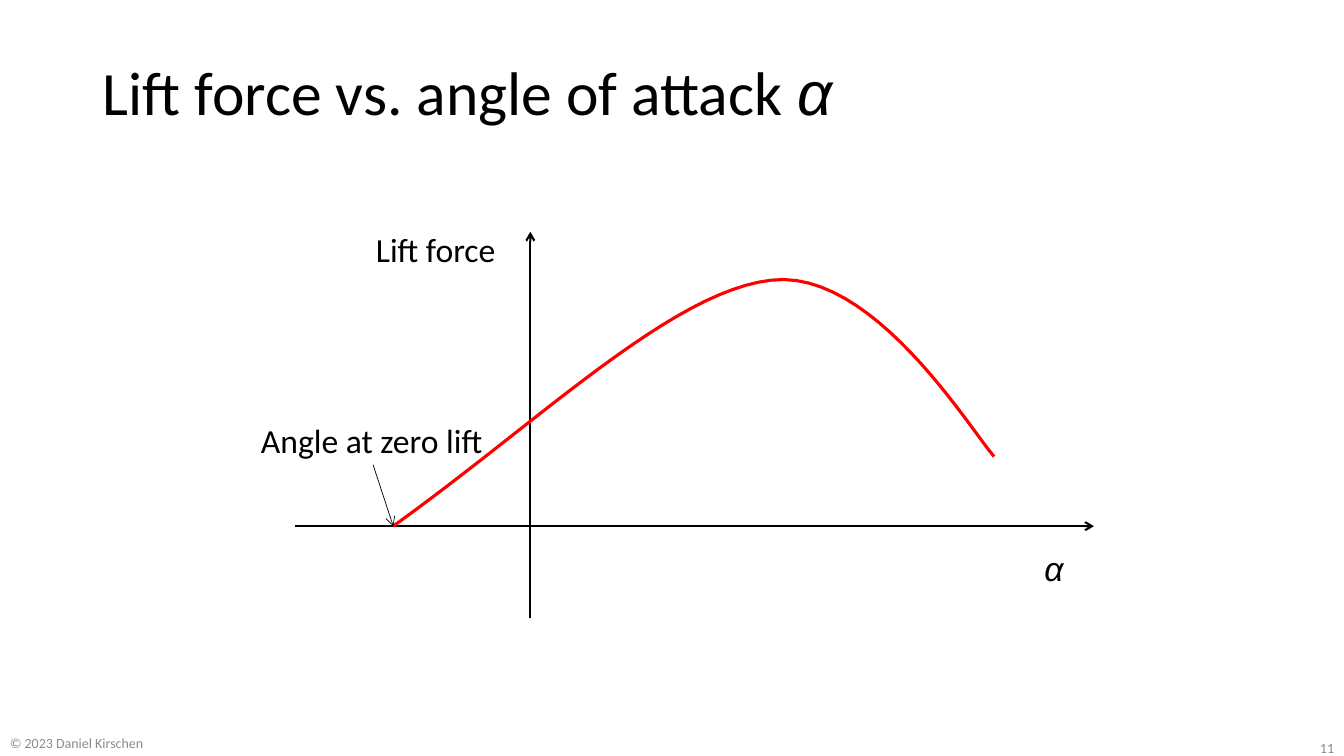
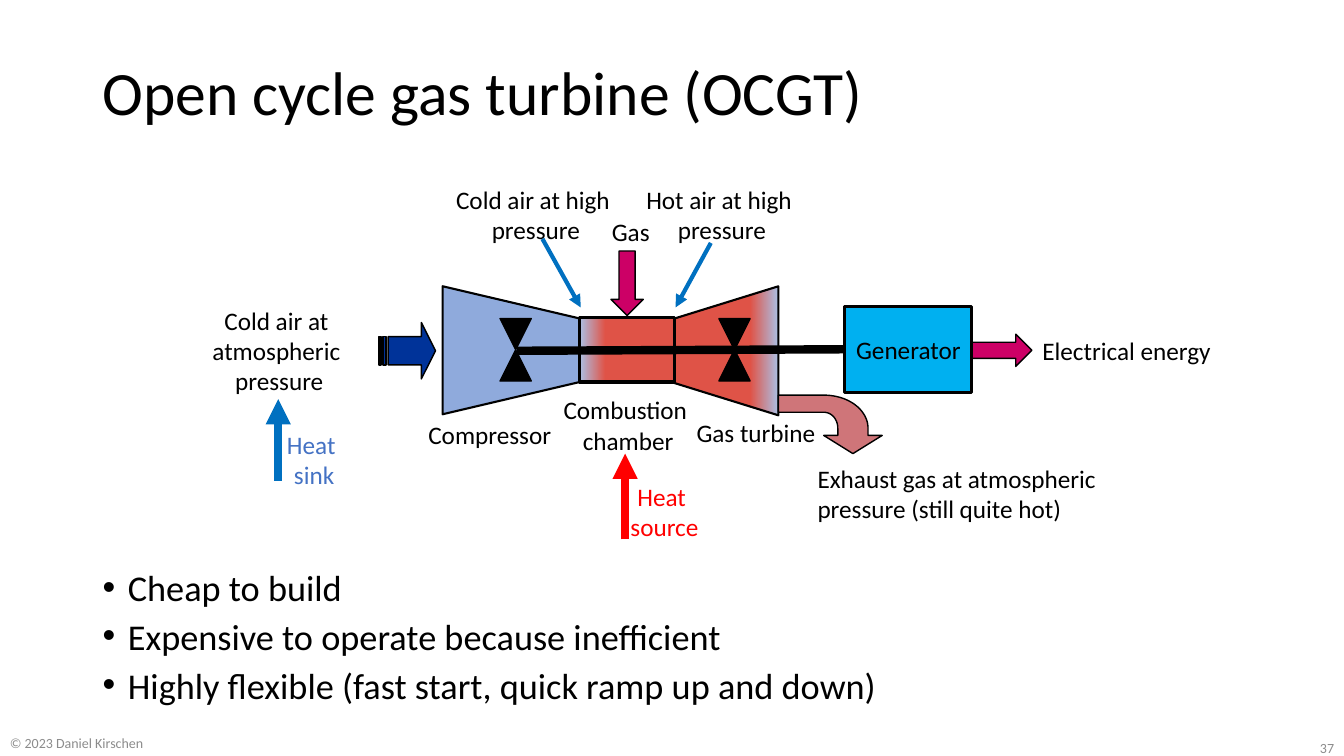
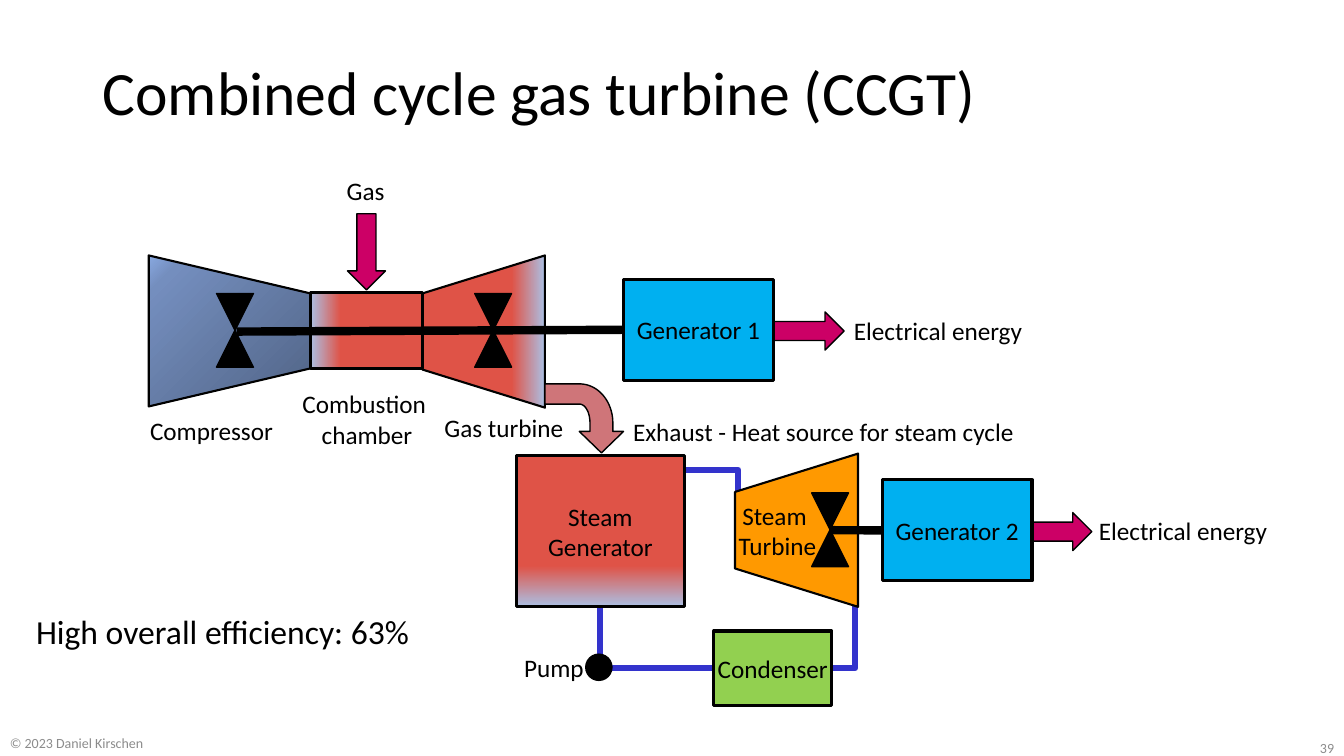
from lxml.etree import SubElement
from pptx import Presentation
from pptx.dml.color import RGBColor
from pptx.enum.shapes import MSO_CONNECTOR, MSO_SHAPE
from pptx.enum.text import MSO_ANCHOR, MSO_AUTO_SIZE, PP_ALIGN
from pptx.oxml.ns import qn
from pptx.util import Inches, Pt

COLORS = {
    "black": "000000", "grey": "8C8C8C", "red": "FF0000", "blue": "0070C0",
    "heat sink": "4472C4", "fuel": "CC0066", "cold air": "003399",
    "compressor": "8FAADC", "exhaust": "CF7579", "generator": "00B0F0",
    "pipe": "3333CC", "steam": "FF9900", "condenser": "92D050",
    "hot": "DF5347", "cooled": "ABC0E4",
    "dark steel": "516486", "steel": "748EBE", "light steel": "89A9E1",
}
HOT_STOPS = [(0, "hot"), (73, "hot"), (100, "cooled")]
STEEL_STOPS = [(0, "dark steel"), (88, "steel"), (100, "light steel")]
LEFT, CENTER, RIGHT = PP_ALIGN.LEFT, PP_ALIGN.CENTER, PP_ALIGN.RIGHT


def rgb(name):
    return RGBColor.from_string(COLORS[name])


def format_run(r, size=18, color="black", font="Calibri", italic=False):
    r.font.size = Pt(size)
    r.font.name = font
    r.font.italic = italic
    r.font.color.rgb = rgb(color)


def write(tf, text, align=LEFT, spacing=None, before=0, bullet=None, **fmt):
    """Fill a text frame, one paragraph per line of text."""
    for i, line in enumerate(text.split("\n")):
        p = tf.paragraphs[0] if i == 0 else tf.add_paragraph()
        p.text = line
        p.alignment = align
        if spacing:
            p.line_spacing = spacing
        if before and i:
            p.space_before = Pt(before)
        if bullet:
            pPr = p._p.get_or_add_pPr()
            pPr.set("marL", str(Inches(0.25)))
            pPr.set("indent", str(Inches(-0.25)))
            SubElement(pPr, qn("a:buFont"), typeface="Arial")
            SubElement(pPr, qn("a:buChar"), char=bullet)
        for r in p.runs:
            format_run(r, **fmt)
    return p


def bezier(p0, p1, p2, p3, steps=24):
    """Points along a cubic curve, without its first point."""
    points = []
    for i in range(1, steps + 1):
        t = i / steps
        weights = ((1 - t) ** 3, 3 * t * (1 - t) ** 2, 3 * t * t * (1 - t), t ** 3)
        points.append(tuple(sum(w * c for w, c in zip(weights, axis))
                            for axis in zip(p0, p1, p2, p3)))
    return points


class Deck:
    def __init__(self):
        self.prs = Presentation()
        self.prs.slide_width, self.prs.slide_height = Inches(13.33), Inches(7.5)
        self.shapes = None

    def slide(self, title, number):
        """Start a slide with title and footers; return the title paragraph."""
        self.shapes = self.prs.slides.add_slide(self.prs.slide_layouts[6]).shapes
        p = self.text(title, 0.92, 0.4, 11.5, 1.1, size=44, spacing=0.9)
        footer = {"size": 10, "color": "grey"}
        self.text("© 2023 Daniel Kirschen", 0, 7.21, 3.44, 0.33, **footer)
        self.text(str(number), 10.33, 7.26, 3, 0.31, align=RIGHT, **footer)
        return p

    def text(self, text, x, y, w, h, anchor=MSO_ANCHOR.MIDDLE, **fmt):
        tf = self.shapes.add_textbox(*map(Inches, (x, y, w, h))).text_frame
        tf.word_wrap = True
        tf.vertical_anchor = anchor
        return write(tf, text, **fmt)

    def label(self, text, x, y, w, size=18, **fmt):
        """Unwrapped text whose height follows from its lines."""
        h = 0.1 + (text.count("\v") + text.count("\n") + 1) * size * 1.22 / 72
        tf = self.shapes.add_textbox(*map(Inches, (x, y, w, h))).text_frame
        tf.word_wrap = False
        tf.auto_size = MSO_AUTO_SIZE.SHAPE_TO_FIT_TEXT
        tf.vertical_anchor = MSO_ANCHOR.MIDDLE
        write(tf, text, size=size, **fmt)

    def paint(self, sp, fill, line, width):
        """fill is a colour name, a (stops, clockwise angle) pair or None."""
        sp.shadow.inherit = False
        if fill is None:
            sp.fill.background()
        elif isinstance(fill, str):
            sp.fill.solid()
            sp.fill.fore_color.rgb = rgb(fill)
        else:
            stops, angle = fill
            sp.fill.gradient()
            grad = sp._element.spPr.find(qn("a:gradFill"))
            grad.find(qn("a:lin")).set("ang", str(angle * 60000))
            gs_list = grad.find(qn("a:gsLst"))
            for gs in list(gs_list):
                gs_list.remove(gs)
            for pos, name in stops:
                gs = SubElement(gs_list, qn("a:gs"), pos=str(pos * 1000))
                SubElement(gs, qn("a:srgbClr"), val=COLORS[name])
        sp.line.color.rgb = rgb(line)
        sp.line.width = Pt(width)

    def shape(self, kind, x, y, w, h, fill="black", width=1, text=None):
        sp = self.shapes.add_shape(kind, *map(Inches, (x, y, w, h)))
        self.paint(sp, fill, "black", width)
        if text:
            sp.text_frame.word_wrap = False
            sp.text_frame.vertical_anchor = MSO_ANCHOR.MIDDLE
            write(sp.text_frame, text, align=CENTER)
        return sp

    def box(self, x, y, w, h, fill, text=None):
        return self.shape(MSO_SHAPE.RECTANGLE, x, y, w, h, fill, 2.25, text)

    def blades(self, x, y, k=1.0):
        self.shape(MSO_SHAPE.FLOWCHART_COLLATE, x, y, 0.31 * k, 0.62 * k)

    def block_arrow(self, x, y, w, h, rotation=0):
        sp = self.shape(MSO_SHAPE.DOWN_ARROW, x, y, w, h, "fuel")
        sp.rotation = rotation

    def outline(self, *parts, fill=None, line="black", width=1.5):
        """Closed outlines when filled, an open line otherwise."""
        fb = None
        for part in parts:
            points = [(Inches(x), Inches(y)) for x, y in part]
            if fb is None:
                fb = self.shapes.build_freeform(*points[0])
            else:
                fb.move_to(*points[0])
            fb.add_line_segments(points[1:], close=fill is not None)
        self.paint(fb.convert_to_shape(), fill, line, width)

    def line(self, x1, y1, x2, y2, color="black", width=6.0, head=None):
        c = self.shapes.add_connector(MSO_CONNECTOR.STRAIGHT,
                                      *map(Inches, (x1, y1, x2, y2)))
        c.line.color.rgb = rgb(color)
        c.line.width = Pt(width)
        spPr = c._element.spPr
        if head:
            SubElement(spPr.find(qn("a:ln")), qn("a:tailEnd"), type=head)
        SubElement(spPr, qn("a:effectLst"))
        return c

    def generator(self, x, y, k, text, arrow_dx):
        """Generator with its power arrow, centred arrow_dx from its left."""
        w, h = 0.32 * k, 1.27 * k
        self.block_arrow(x + arrow_dx - w / 2, y + (0.87 * k - h) / 2, w, h, 270)
        return self.box(x, y, 1.26 * k, 0.85 * k, "generator", text)

    def exhaust(self, x, y, w, h):
        """Pipe bending down into an arrowhead."""
        def at(u, v):
            return x + u * w / 1.03, y + v * h / 0.58
        outer = [at(0.89, 0.33), at(0.89, 0.15), at(0.7, 0), at(0.45, 0)]
        inner = [at(0.45, 0.17), at(0.53, 0.17), at(0.59, 0.24), at(0.59, 0.33)]
        self.outline([at(0.74, 0.58), at(1.03, 0.4), at(0.89, 0.4), outer[0],
                      *bezier(*outer), at(0, 0), at(0, 0.17), inner[0],
                      *bezier(*inner), at(0.59, 0.4), at(0.45, 0.4)],
                     fill="exhaust", width=1)

    def gas_turbine(self, x, y, k, compressor_fill, name, exhaust_w):
        """Whole gas turbine set; x, y is the chamber's corner, k the scale."""
        def at(u, v):
            return x + u * k, y + v * k
        self.outline([at(-1.36, 0.96), at(0, 0.64), at(0, 0.01), at(-1.36, -0.31)],
                     fill=compressor_fill)
        self.outline([at(1.97, 0.97), at(0.94, 0.65), at(0.94, 0.01), at(1.97, -0.31)],
                     fill=(HOT_STOPS, 0))
        self.box(x, y, 0.94 * k, 0.64 * k, (HOT_STOPS, 180))
        shaft = self.line(*at(-0.62, 0.33), *at(2.63, 0.31))
        for u in (-0.79, 1.38):
            self.blades(*at(u, 0.01), k)
        gen = self.generator(*at(2.63, -0.11), k, name, 1.22 * k)
        shaft.end_connect(gen, 1)
        self.block_arrow(*at(0.31, -0.66), 0.32 * k, 0.64 * k)
        self.exhaust(*at(1.97, 0.77), exhaust_w, 0.58 * k)


def lift_slide(deck):
    p = deck.slide("Lift force vs. angle of attack ", 11)
    r = p.add_run()
    r.text = "α"
    format_run(r, size=44, font="Arial", italic=True)
    # Axes and curve
    deck.line(5.26, 6.13, 5.26, 2.3, width=1.5, head="arrow")
    deck.line(2.93, 5.22, 10.85, 5.22, width=1.5, head="arrow")
    zero, peak = (3.9, 5.22), (7.65, 2.78)
    deck.outline([zero, *bezier(zero, (5.34, 4.19), (6.66, 2.89), peak),
                  *bezier(peak, (8.65, 2.66), (9.61, 4.24), (9.86, 4.53))],
                 line="red", width=2.25)
    # Labels
    deck.label("Lift force", 3.63, 2.22, 1.41, size=24)
    deck.label("Angle at zero lift", 2.49, 4.11, 2.43, size=24)
    deck.line(3.7, 4.61, *zero, width=0.5, head="arrow")
    deck.label("α", 10.26, 5.38, 0.41, size=24, font="Arial", italic=True)


def open_cycle_slide(deck):
    deck.slide("Open cycle gas turbine (OCGT)", 37)
    deck.text("Cheap to build\nExpensive to operate because inefficient\n"
              "Highly flexible (fast start, quick ramp up and down)",
              0.92, 5.64, 11.5, 1.5, anchor=MSO_ANCHOR.TOP, size=25.9,
              spacing=0.8, before=10, bullet="•")
    # Machine and air intake
    deck.gas_turbine(5.75, 3.15, 1, "compressor", "Generator", 1.03)
    stripes = [[(x, 3.34), (x, 3.62), (x + w, 3.62), (x + w, 3.34)]
               for x, w in ((3.8, 0.03), (3.76, 0.02))]
    deck.outline([(4.18, 3.2), (4.18, 3.34), (3.85, 3.34), (3.85, 3.62),
                  (4.18, 3.62), (4.18, 3.76), (4.32, 3.48)], *stripes,
                 fill="cold air", width=1)
    # Labels
    for text, x, y, w in (
            ("Electrical energy", 10.24, 3.27, 1.89),
            ("Compressor", 4.15, 4.11, 1.43),
            ("Gas turbine", 6.81, 4.09, 1.39),
            ("Gas", 5.97, 2.09, 0.58),
            ("Exhaust gas at atmospheric \vpressure (still quite hot)", 8.01, 4.54, 3.05)):
        deck.label(text, x, y, w)
    for text, x, y, w, color in (
            ("Cold air at high \npressure", 4.41, 1.77, 1.81, "black"),
            ("Hot air at high \npressure", 6.3, 1.77, 1.72, "black"),
            ("Combustion \nchamber", 5.48, 3.86, 1.5, "black"),
            ("Cold air at \natmospheric \npressure", 2, 2.97, 1.54, "black"),
            ("Heat \nsink", 2.74, 4.2, 0.75, "heat sink"),
            ("Heat \nsource", 6.15, 4.72, 0.88, "red")):
        deck.label(text, x, y, w, align=CENTER, color=color)
    # Pointers
    for x1, y1, x2, y2, color, width in (
            (5.38, 2.37, 5.76, 3.05, "blue", 3),
            (7.05, 2.41, 6.7, 3.05, "blue", 3),
            (2.76, 4.77, 2.76, 3.96, "blue", 6),
            (6.2, 5.35, 6.2, 4.5, "red", 6)):
        deck.line(x1, y1, x2, y2, color, width, "triangle")


def combined_cycle_slide(deck):
    deck.slide("Combined cycle gas turbine (CCGT)", 39)
    k = 1.18
    deck.gas_turbine(3.08, 2.9, k, (STEEL_STOPS, 225), "Generator 1", 0.78)
    # Steam cycle
    for pipe in ([(5.95, 6.02), (5.95, 6.63), (8.48, 6.63), (8.48, 5.33)],
                 [(5.54, 4.86), (5.54, 4.66), (7.32, 4.66), (7.32, 5.17)]):
        deck.outline(pipe, line="pipe", width=4.5)
    deck.outline([(8.51, 6.02), (7.29, 5.64), (7.29, 4.88), (8.51, 4.5)], fill="steam")
    shaft = deck.line(8.24, 5.26, 8.75, 5.26)
    deck.blades(8.05, 4.89, k)
    shaft.end_connect(deck.generator(8.75, 4.76, k, "Generator 2", 1.33), 1)
    deck.box(7.08, 6.26, 1.17, 0.74, "condenser", "Condenser")
    deck.shape(MSO_SHAPE.OVAL, 5.81, 6.49, 0.26, 0.26)
    deck.box(5.12, 4.52, 1.67, 1.5, (HOT_STOPS, 90), "Steam\nGenerator")
    # Labels
    for text, x, y, w in (
            ("Electrical energy", 8.37, 3.08, 1.89),
            ("Electrical energy", 10.8, 5.06, 1.89),
            ("Compressor", 1.39, 4.07, 1.43),
            ("Gas turbine", 4.31, 4.04, 1.39),
            ("Gas", 3.34, 1.69, 0.58),
            ("Pump", 5.1, 6.42, 0.8),
            ("Exhaust - Heat source for steam cycle", 6.18, 4.08, 4.02)):
        deck.label(text, x, y, w)
    deck.label("Combustion \nchamber", 2.89, 3.8, 1.5, align=CENTER)
    deck.label("Steam \nTurbine", 7.22, 4.91, 0.98, align=CENTER)
    deck.text("High overall efficiency: 63%", 0.26, 6.01, 3.93, 0.84,
              anchor=MSO_ANCHOR.TOP, size=24)


def main():
    deck = Deck()
    lift_slide(deck)
    open_cycle_slide(deck)
    combined_cycle_slide(deck)
    deck.prs.save("out.pptx")


if __name__ == "__main__":
    main()
